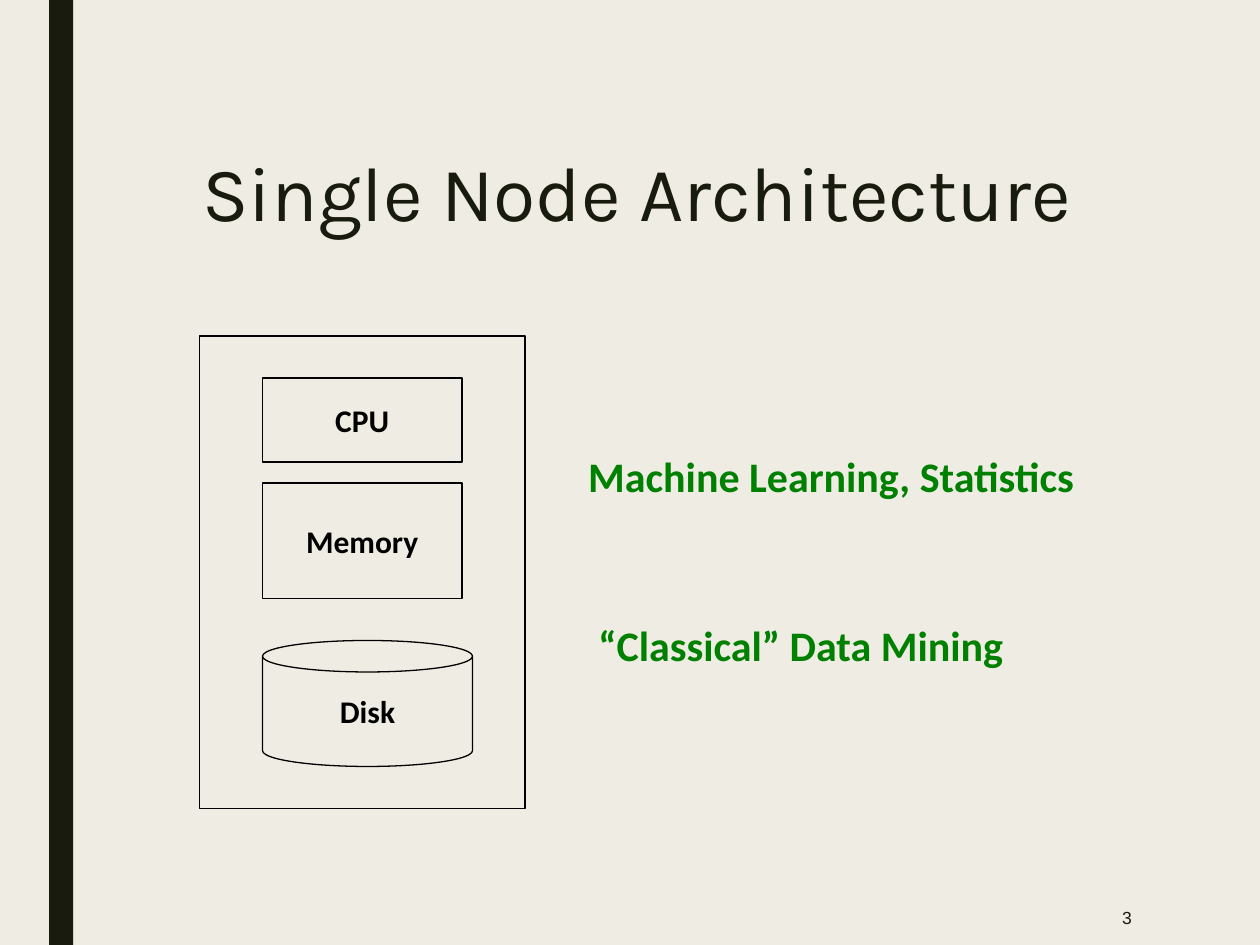
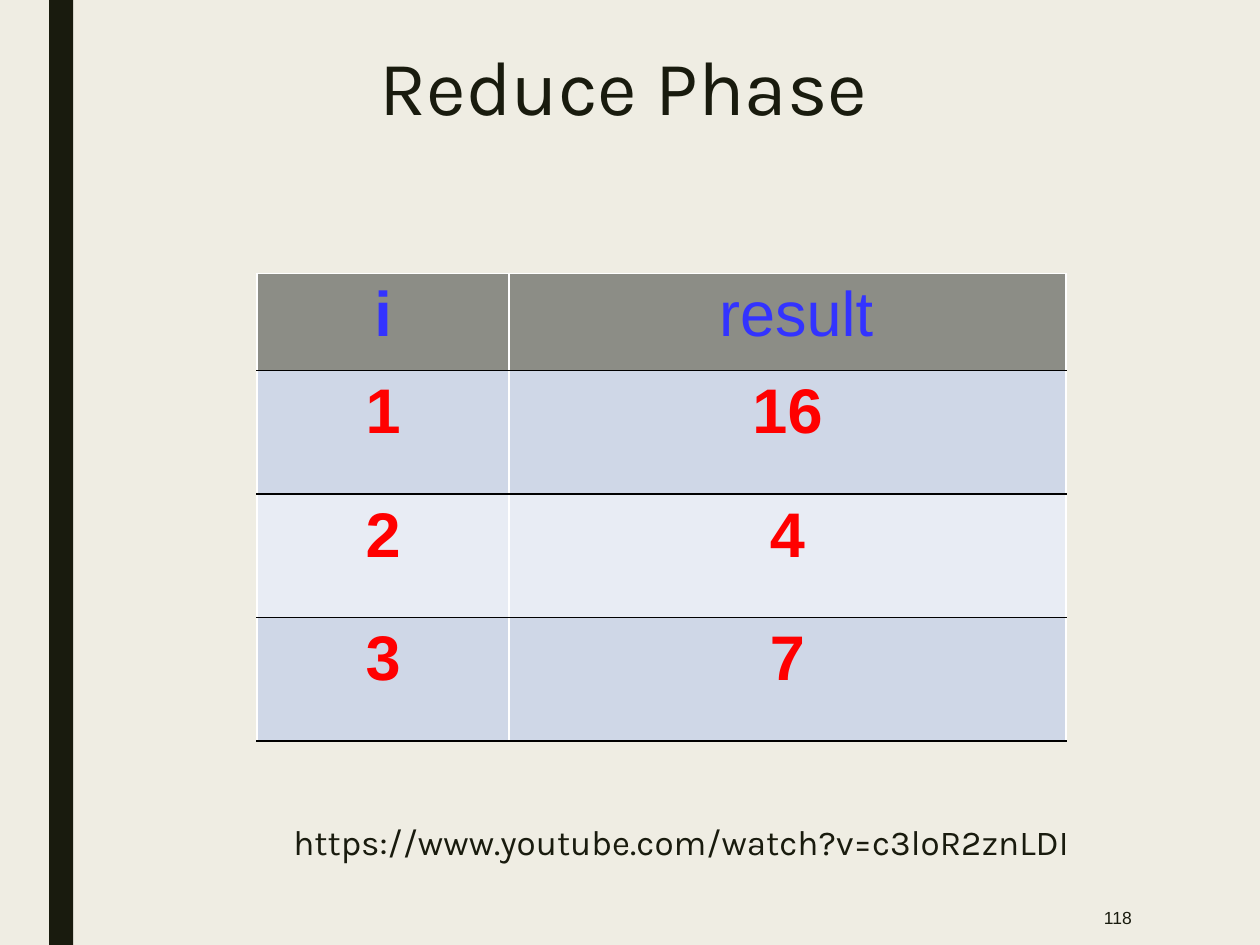
from dataclasses import dataclass

from lxml import etree
from pptx import Presentation
from pptx.dml.color import RGBColor
from pptx.enum.shapes import MSO_SHAPE
from pptx.enum.text import MSO_ANCHOR, PP_ALIGN
from pptx.oxml.ns import qn
from pptx.util import Inches, Pt


@dataclass(frozen=True)
class Style:
    size: float
    font: str
    color: str
    bold: bool = False


@dataclass(frozen=True)
class Theme:
    paper: str = "EFEDE3"
    ink: str = "191B0E"
    line: str = "000000"
    grid: str = "FFFFFF"
    header: str = "8C8D86"
    stripes: tuple = ("CFD7E7", "E8ECF4")
    title: Style = Style(44, "Karla", "191B0E")
    number: Style = Style(10, "Arial", "191B0E")
    component: Style = Style(18, "Calibri", "000000", True)
    workload: Style = Style(24, "Calibri", "008000", True)
    key_head: Style = Style(36, "Arial", "3333FF", True)
    result_head: Style = Style(36, "Arial", "3333FF")
    value: Style = Style(36, "Arial", "FF0000", True)
    link: Style = Style(20, "Karla", "191B0E")


THEME = Theme()
WIDTH, HEIGHT = 10, 7.5
UNIT = 1 / 12

NODE = {
    "title": "Single Node Architecture",
    "title_at": (1.12, 0.75),
    "number": "3",
    "components": [
        ("Memory", MSO_SHAPE.RECTANGLE, (25, 46, 19, 11)),
        ("Disk", MSO_SHAPE.CAN, (25, 61, 20, 12)),
        ("CPU", MSO_SHAPE.RECTANGLE, (25, 36, 19, 8)),
        ("", MSO_SHAPE.RECTANGLE, (19, 32, 31, 45)),
    ],
    "workloads": [
        ("Machine Learning, Statistics", (4.57, 3.53, 4.32, 0.5)),
        ("“Classical” Data Mining", (4.65, 4.87, 3.59, 0.5)),
    ],
}

REDUCE = {
    "title": "Reduce Phase",
    "title_at": (1.01, -0.09),
    "number": "118",
    "rows": [("i", " result"), ("1", "16"), ("2", "4"), ("3", "7")],
    "table_at": (2.04, 2.17),
    "columns": (2, 4.42),
    "row_heights": (0.77, 0.98, 0.98, 0.98),
    "link": "https://www.youtube.com/watch?v=c3loR2znLDI",
    "link_at": (2.23, 6.41, 7.06, 0.49),
}


def rgb(color):
    return RGBColor.from_string(color)


def inches(box):
    return [Inches(length) for length in box]


def write(frame, text, style, align=PP_ALIGN.LEFT):
    paragraph = frame.paragraphs[0]
    paragraph.alignment = align
    run = paragraph.add_run()
    run.text = text
    run.font.size = Pt(style.size)
    run.font.name = style.font
    run.font.bold = style.bold
    run.font.color.rgb = rgb(style.color)


def add_text(slide, box, text, style, align=PP_ALIGN.LEFT, anchor=MSO_ANCHOR.TOP):
    frame = slide.shapes.add_textbox(*inches(box)).text_frame
    frame.word_wrap = True
    frame.vertical_anchor = anchor
    write(frame, text, style, align)
    return frame


def add_shape(slide, preset, box, fill=None, line=None):
    shape = slide.shapes.add_shape(preset, *inches(box))
    shape.shadow.inherit = False
    if fill:
        shape.fill.solid()
        shape.fill.fore_color.rgb = rgb(fill)
    else:
        shape.fill.background()
    if line:
        shape.line.color.rgb = rgb(line)
        shape.line.width = Pt(0.75)
    else:
        shape.line.fill.background()
    return shape


def start_slide(deck, content):
    slide = deck.slides.add_slide(deck.slide_layouts[6])
    slide.background.fill.solid()
    slide.background.fill.fore_color.rgb = rgb(THEME.paper)
    add_shape(slide, MSO_SHAPE.RECTANGLE, (0.39, 0, 0.19, HEIGHT), fill=THEME.ink)
    title = add_text(slide, (*content["title_at"], 7.88, 1.62), content["title"],
                     THEME.title, PP_ALIGN.CENTER, MSO_ANCHOR.MIDDLE)
    title.paragraphs[0].line_spacing = 0.89
    add_text(slide, (7.77, 7.06, 1.31, 0.44), content["number"],
             THEME.number, PP_ALIGN.RIGHT, MSO_ANCHOR.MIDDLE)
    return slide


def set_borders(cell, **colors):
    properties = cell._tc.get_or_add_tcPr()
    for side, color in colors.items():
        border = etree.SubElement(properties, qn(f"a:ln{side}"), w=str(Pt(1)))
        fill = etree.SubElement(border, qn("a:solidFill"))
        etree.SubElement(fill, qn("a:srgbClr"), val=color)


def build_node(deck):
    slide = start_slide(deck, NODE)
    for label, preset, cells in NODE["components"]:
        component = add_shape(slide, preset, [n * UNIT for n in cells], line=THEME.line)
        if label:
            component.text_frame.vertical_anchor = MSO_ANCHOR.MIDDLE
            write(component.text_frame, label, THEME.component, PP_ALIGN.CENTER)
    for workload, box in NODE["workloads"]:
        add_text(slide, box, workload, THEME.workload)


def build_reduce(deck):
    slide = start_slide(deck, REDUCE)
    rows, columns, heights = REDUCE["rows"], REDUCE["columns"], REDUCE["row_heights"]
    box = (*REDUCE["table_at"], sum(columns), sum(heights))
    table = slide.shapes.add_table(len(rows), len(columns), *inches(box)).table
    for column, width in zip(table.columns, columns):
        column.width = Inches(width)
    for row, height in zip(table.rows, heights):
        row.height = Inches(height)
    head_styles = (THEME.key_head, THEME.result_head)
    for r, row in enumerate(rows):
        fill = THEME.stripes[(r - 1) % 2] if r else THEME.header
        for c, text in enumerate(row):
            cell = table.cell(r, c)
            set_borders(cell, L=THEME.grid, R=THEME.grid,
                        T=THEME.line if r else THEME.grid, B=THEME.line)
            cell.fill.solid()
            cell.fill.fore_color.rgb = rgb(fill)
            write(cell.text_frame, text, THEME.value if r else head_styles[c],
                  PP_ALIGN.CENTER)
    link = add_text(slide, REDUCE["link_at"], REDUCE["link"], THEME.link)
    link.margin_top = link.margin_bottom = Inches(0.1)


def main():
    deck = Presentation()
    deck.slide_width, deck.slide_height = inches((WIDTH, HEIGHT))
    build_node(deck)
    build_reduce(deck)
    deck.save("out.pptx")


if __name__ == "__main__":
    main()
